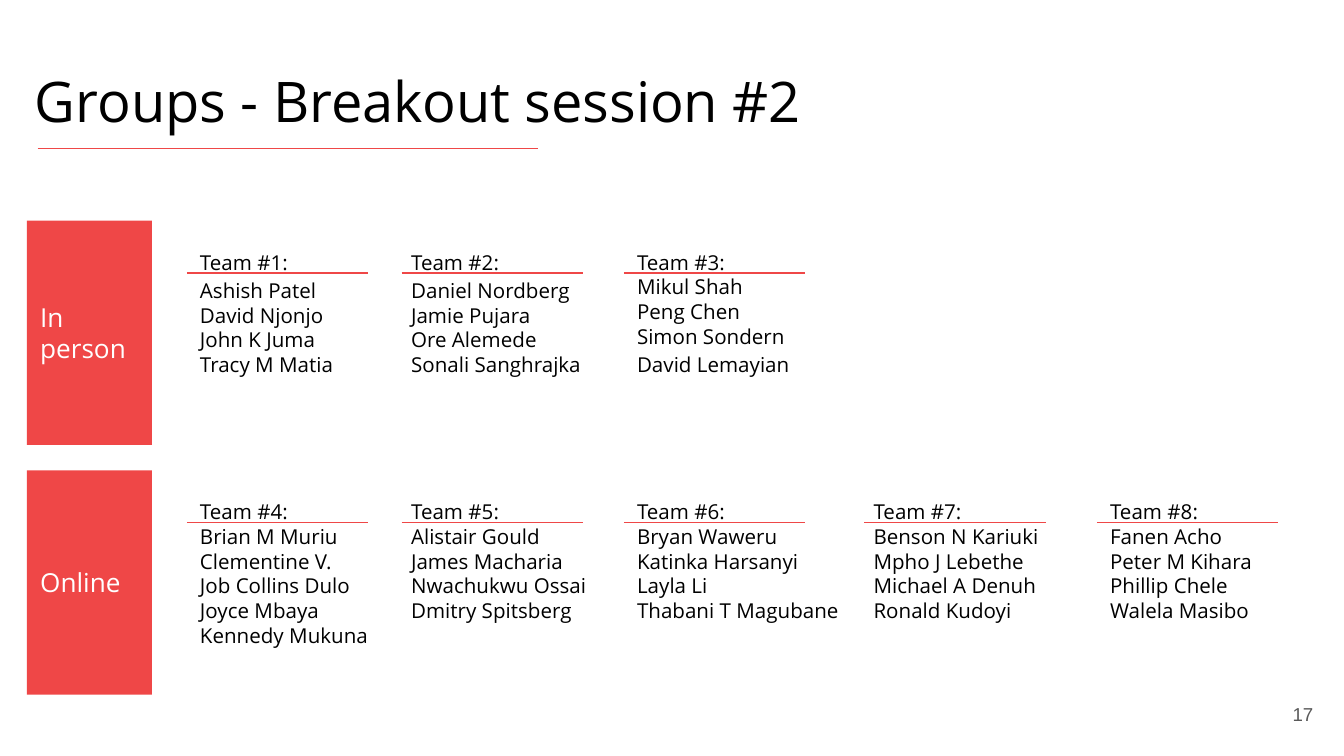
from dataclasses import dataclass

from lxml.etree import SubElement
from pptx import Presentation
from pptx.dml.color import RGBColor
from pptx.enum.shapes import MSO_CONNECTOR as Connector, MSO_SHAPE as Shape
from pptx.enum.text import MSO_ANCHOR as Anchor, MSO_AUTO_SIZE as AutoSize, PP_ALIGN as Align
from pptx.oxml.ns import qn
from pptx.util import Cm, Pt


@dataclass(frozen=True)
class Theme:
    accent: RGBColor = RGBColor(0xEF, 0x47, 0x47)
    ink: RGBColor = RGBColor(0, 0, 0)
    paper: RGBColor = RGBColor(255, 255, 255)
    muted: RGBColor = RGBColor(0x59, 0x59, 0x59)
    font: str = "Open Sans"
    number_font: str = "Arial"
    title_size: Pt = Pt(30)
    label_size: Pt = Pt(14)
    body_size: Pt = Pt(11)
    number_size: Pt = Pt(10)
    rule_width: Pt = Pt(0.75)


theme = Theme()
LOOSE = 1.15


def write(frame, lines, size, color, font=theme.font, anchor=Anchor.TOP, align=Align.LEFT):
    frame.word_wrap = True
    frame.auto_size = AutoSize.NONE
    frame.vertical_anchor = anchor
    frame.margin_left = frame.margin_right = Cm(0.25)
    frame.margin_top = frame.margin_bottom = Cm(0.25)
    for index, (line, spacing) in enumerate(lines):
        paragraph = frame.paragraphs[0] if index == 0 else frame.add_paragraph()
        paragraph.text = line
        paragraph.alignment = align
        paragraph.line_spacing = spacing
        paragraph.font.name = font
        paragraph.font.size = size
        paragraph.font.color.rgb = color


def draw_rule(left, top, width):
    rule = slide.shapes.add_connector(
        Connector.STRAIGHT, Cm(left), Cm(top), Cm(left + width), Cm(top))
    rule.line.color.rgb = theme.accent
    rule.line.width = theme.rule_width
    SubElement(rule._element.spPr, qn("a:effectLst"))


deck = Presentation()
deck.slide_width, deck.slide_height = Cm(25.4), Cm(14.29)
slide = deck.slides.add_slide(deck.slide_layouts[5])

title = slide.shapes.title
title.left, title.top, title.width, title.height = Cm(0.41), Cm(0.81), Cm(23.29), Cm(2.08)
write(title.text_frame, [("Groups - Breakout session #2", LOOSE)], theme.title_size, theme.ink)
draw_rule(0.71, 2.81, 9.45)

sessions = [
    ("In person", 4.17, [
        ["Ashish Patel", "David Njonjo", "John K Juma", "Tracy M Matia"],
        ["Daniel Nordberg", "Jamie Pujara", "Ore Alemede", "Sonali Sanghrajka"],
        ["Mikul Shah", "Peng Chen", "Simon Sondern", "David Lemayian"],
    ]),
    ("Online", 8.89, [
        ["Brian M Muriu", "Clementine V.", "Job Collins Dulo", "Joyce Mbaya", "Kennedy Mukuna"],
        ["Alistair Gould", "James Macharia", "Nwachukwu Ossai", "Dmitry Spitsberg"],
        ["Bryan Waweru", "Katinka Harsanyi", "Layla Li", "Thabani T Magubane"],
        ["Benson N Kariuki", "Mpho J Lebethe", "Michael A Denuh", "Ronald Kudoyi"],
        ["Fanen Acho", "Peter M Kihara", "Phillip Chele", "Walela Masibo"],
    ]),
]
team_lefts = [3.53, 7.52, 11.79, 16.26, 20.73]
rule_lefts = [3.53, 7.59, 11.79, 16.33, 20.73]
wide_teams = {3, 5, 6, 8}
loose_names = {"Ashish Patel", "Daniel Nordberg", "David Lemayian"}

team_number = 0
for session, top, teams in sessions:
    label = slide.shapes.add_shape(Shape.RECTANGLE, Cm(0.51), Cm(top), Cm(2.36), Cm(4.24))
    label.shadow.inherit = False
    label.fill.solid()
    label.fill.fore_color.rgb = theme.accent
    label.line.fill.background()
    write(label.text_frame, [(session, 1.0)], theme.label_size, theme.paper, anchor=Anchor.MIDDLE)

    for names, team_left, rule_left in zip(teams, team_lefts, rule_lefts):
        team_number += 1
        width = 4.32 if team_number in wide_teams else 3.99
        roster = slide.shapes.add_textbox(Cm(team_left), Cm(top + 0.23), Cm(width), Cm(3.96))
        lines = [(f"Team #{team_number}:", LOOSE)]
        lines += [(name, LOOSE if name in loose_names else 1.0) for name in names]
        write(roster.text_frame, lines, theme.body_size, theme.ink)
        draw_rule(rule_left, top + 0.99, 3.43)

page_number = slide.shapes.add_textbox(Cm(23.55), Cm(12.95), Cm(1.52), Cm(1.09))
write(page_number.text_frame, [("17", 1.0)], theme.number_size, theme.muted,
      theme.number_font, Anchor.MIDDLE, Align.RIGHT)

deck.save("out.pptx")
